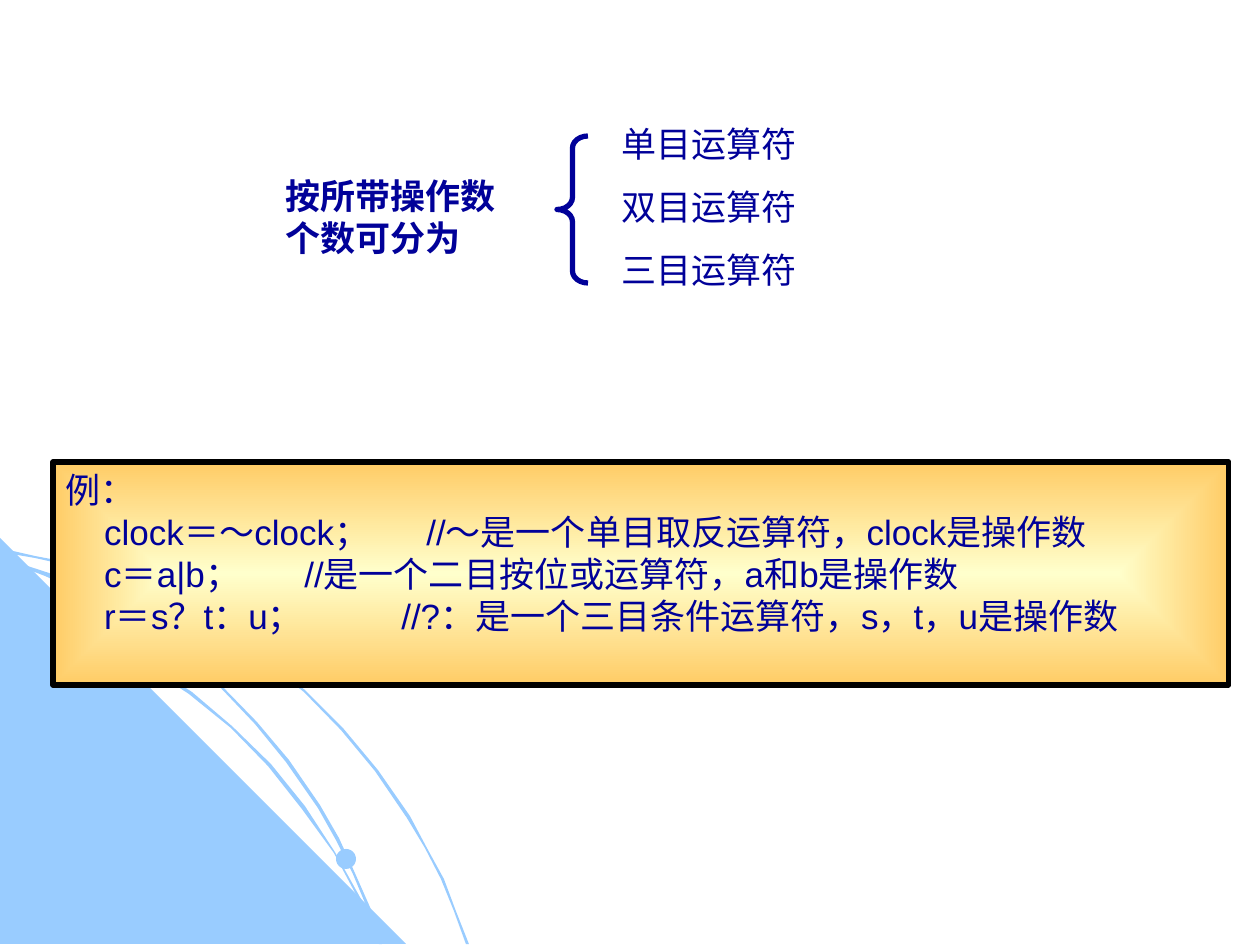
from lxml.etree import SubElement
from pptx import Presentation
from pptx.dml.color import RGBColor
from pptx.enum.shapes import MSO_SHAPE
from pptx.enum.text import MSO_ANCHOR, PP_ALIGN
from pptx.oxml import parse_xml
from pptx.oxml.ns import nsdecls, qn
from pptx.util import Pt

PX = 914400 // 126
COLORS = {"navy": "010199", "sky": "99CCFF", "cream": "FFFFCC",
          "orange": "FFCC66", "black": "000000"}

HEADING = "按所带操作数个数可分为"
OPERATOR_KINDS = ["单目运算符", "双目运算符", "三目运算符"]
EXAMPLE_TITLE = "例："
# code, comment, distance of the comment from the left of the text
EXAMPLES = [
    ("    clock＝～clock；", "//～是一个单目取反运算符，clock是操作数", 361),
    ("    c＝a|b；", "//是一个二目按位或运算符，a和b是操作数", 239),
    ("    r＝s？t：u；", "//?：是一个三目条件运算符，s，t，u是操作数", 336),
]

OUTER_ARC = [
    (72, 563), (35, 556), (0, 548), (0, 552), (35, 558), (71, 566), (122, 581),
    (170, 602), (218, 629), (262, 659), (304, 692), (341, 730), (375, 771),
    (407, 818), (425, 848), (441, 879), (454, 911), (466, 944), (469, 944),
    (456, 911), (444, 879), (427, 848), (410, 816), (378, 770), (343, 728),
    (305, 690), (263, 656), (219, 626), (171, 601), (123, 578)]
CORNER = [(406, 944), (0, 944), (0, 538)]
INNER_ARC = [
    (359, 900), (370, 922), (379, 944), (382, 944), (373, 920), (360, 897),
    (335, 852), (305, 806), (271, 764), (232, 726), (192, 692), (147, 663),
    (100, 636), (52, 615), (0, 598), (0, 601), (49, 617), (97, 639), (145, 665),
    (189, 694), (231, 728), (268, 766), (302, 809), (334, 853)]
MIDDLE_ARC = [
    (0, 557), (0, 559), (45, 576), (93, 598), (137, 622), (179, 653), (218, 685),
    (255, 724), (286, 762), (318, 808), (336, 840), (353, 874), (368, 910),
    (379, 944), (382, 944), (370, 907), (355, 873), (339, 838), (320, 805),
    (289, 760), (257, 722), (220, 684), (181, 650), (140, 621), (96, 596),
    (49, 573)]
DOTS = [(45, 609, 19), (336, 849, 20), (173, 596, 26)]  # left, top, diameter


def rgb(name):
    return RGBColor.from_string(COLORS[name])


def emu(*lengths):
    return [length * PX for length in lengths]


def paint_sky(shape):
    shape.shadow.inherit = False
    shape.fill.solid()
    shape.fill.fore_color.rgb = rgb("sky")
    shape.line.fill.background()


def style(paragraph, bold=False):
    paragraph.alignment = PP_ALIGN.LEFT
    for run in paragraph.runs:
        run.font.name = "Arial"
        run.font.size = Pt(20)
        run.font.bold = bold
        run.font.color.rgb = rgb("navy")


def add_label(slide, text, box, bold=False):
    label = slide.shapes.add_textbox(*emu(*box)).text_frame
    label.word_wrap = True
    label.text = text
    style(label.paragraphs[0], bold)


def add_decoration(slide):
    for outline in (OUTER_ARC, CORNER, INNER_ARC, MIDDLE_ARC):
        builder = slide.shapes.build_freeform(*outline[0], scale=PX)
        builder.add_line_segments(outline[1:], close=True)
        paint_sky(builder.convert_to_shape())
    for left, top, size in DOTS:
        paint_sky(slide.shapes.add_shape(MSO_SHAPE.OVAL, *emu(left, top, size, size)))


def add_classification(slide):
    add_label(slide, HEADING, (273, 168, 262, 97), bold=True)
    brace = slide.shapes.add_shape(MSO_SHAPE.LEFT_BRACE, *emu(557, 136, 31, 147))
    brace.shadow.inherit = False
    brace.adjustments[0] = 0.39
    brace.fill.background()
    brace.line.color.rgb = rgb("navy")
    brace.line.width = Pt(3)
    for row, kind in enumerate(OPERATOR_KINDS):
        add_label(slide, kind, (609, 116 + 63 * row, 262, 55))


def fill_from_center(shape, inner, outer):
    """Give the shape a rectangular gradient from its center outwards."""
    gradient = parse_xml(
        f'<a:gradFill {nsdecls("a")} rotWithShape="1"><a:gsLst>'
        f'<a:gs pos="0"><a:srgbClr val="{COLORS[inner]}"/></a:gs>'
        f'<a:gs pos="100000"><a:srgbClr val="{COLORS[outer]}"/></a:gs></a:gsLst>'
        '<a:path path="rect"><a:fillToRect l="50000" t="50000" r="50000" b="50000"/>'
        '</a:path></a:gradFill>')
    shape.fill.solid()
    solid = shape.element.spPr.find(qn("a:solidFill"))
    solid.getparent().replace(solid, gradient)


def add_examples(slide):
    panel = slide.shapes.add_shape(MSO_SHAPE.RECTANGLE, *emu(53, 462, 1176, 223))
    panel.shadow.inherit = False
    fill_from_center(panel, "cream", "orange")
    panel.line.color.rgb = rgb("black")
    panel.line.width = Pt(3)
    frame = panel.text_frame
    frame.word_wrap = True
    frame.vertical_anchor = MSO_ANCHOR.TOP
    frame.text = EXAMPLE_TITLE
    style(frame.paragraphs[0])
    for code, comment, offset in EXAMPLES:
        line = frame.add_paragraph()
        line.text = f"{code}\t{comment}"
        tabs = SubElement(line._p.get_or_add_pPr(), qn("a:tabLst"))
        SubElement(tabs, qn("a:tab"), pos=str(offset * PX), algn="l")
        style(line)


def main():
    presentation = Presentation()
    presentation.slide_width, presentation.slide_height = emu(1260, 945)
    slide = presentation.slides.add_slide(presentation.slide_layouts[6])
    add_decoration(slide)
    add_classification(slide)
    add_examples(slide)
    presentation.save("out.pptx")


if __name__ == "__main__":
    main()
